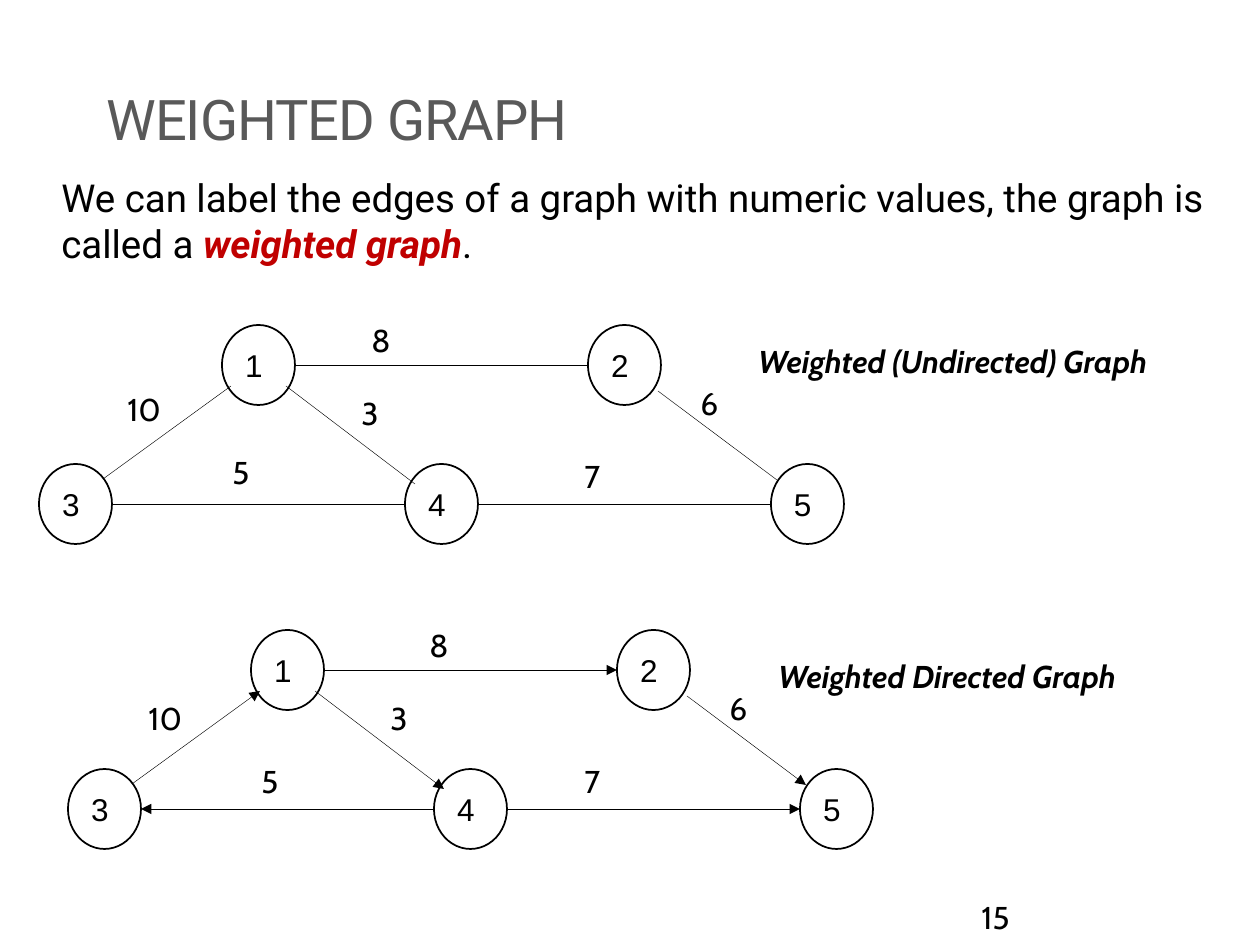
from lxml.etree import SubElement
from pptx import Presentation
from pptx.dml.color import RGBColor
from pptx.enum.shapes import MSO_CONNECTOR, MSO_SHAPE
from pptx.enum.text import MSO_ANCHOR, MSO_AUTO_SIZE, PP_ALIGN
from pptx.oxml.ns import qn
from pptx.util import Inches, Pt

PX = Inches(1) / 126
COLORS = {"ink": "000000", "title": "595959", "accent": "C00000"}
NODE_W, NODE_H = 73, 80
COLUMN, ROW = 183, 139
NODES = {"1": (1, 0), "2": (3, 0), "3": (0, 1), "4": (2, 1), "5": (4, 1)}
EDGES = [
    (247, 61, 376, 159),
    (256, 40, 549, 40),
    (619, 66, 738, 155),
    (366, 179, 73, 179),
    (439, 179, 732, 179),
    (64, 154, 192, 61),
]
UNDIRECTED_WEIGHTS = [
    ("8", 359, 315), ("7", 572, 451), ("10", 115, 384),
    ("5", 220, 447), ("3", 349, 388), ("6", 688, 378),
]
DIRECTED_WEIGHTS = [
    ("10", 136, 693), ("5", 249, 756), ("8", 417, 620),
    ("7", 572, 756), ("3", 378, 693), ("6", 717, 683),
]


def emu(*lengths):
    return [round(n * PX) for n in lengths]


def rgb(name):
    return RGBColor.from_string(COLORS[name])


class SlideBuilder:
    label_font = "Cabin"
    text_font = "Roboto"
    node_font = "Arial"

    def __init__(self, slide):
        self.slide = slide

    def style(self, p, font, size, color="ink"):
        p.font.name = font
        p.font.size = Pt(size)
        p.font.color.rgb = rgb(color)

    def text(self, x, y, w, h, text, font, size, color="ink", wrap=True):
        s = self.slide.shapes.add_textbox(*emu(x, y, w, h))
        tf = s.text_frame
        tf.word_wrap = wrap
        p = tf.paragraphs[0]
        p.add_run().text = text
        self.style(p, font, size, color)
        return tf

    def label(self, x, y, w, text, emphasis=False):
        tf = self.text(x, y, w, 50, text, self.label_font, 18, wrap=False)
        tf.auto_size = MSO_AUTO_SIZE.SHAPE_TO_FIT_TEXT
        if emphasis:
            tf.paragraphs[0].font.bold = True
            tf.paragraphs[0].font.italic = True

    def node(self, x, y, name):
        s = self.slide.shapes.add_shape(MSO_SHAPE.OVAL, *emu(x, y, NODE_W, NODE_H))
        s.shadow.inherit = False
        s.fill.background()
        s.line.color.rgb = rgb("ink")
        s.line.width = Pt(1)
        tf = s.text_frame
        tf.word_wrap = False
        tf.vertical_anchor = MSO_ANCHOR.MIDDLE
        p = tf.paragraphs[0]
        p.alignment = PP_ALIGN.LEFT
        p.add_run().text = name
        self.style(p, self.node_font, 18)

    def edge(self, x1, y1, x2, y2, directed):
        c = self.slide.shapes.add_connector(MSO_CONNECTOR.STRAIGHT, *emu(x1, y1, x2, y2))
        c.line.color.rgb = rgb("ink")
        c.line.width = Pt(0.25)
        if directed:
            SubElement(c.line._get_or_add_ln(), qn("a:tailEnd"), type="triangle")
        SubElement(c._element.spPr, qn("a:effectLst"))

    def graph(self, x, y, weights, directed):
        for x1, y1, x2, y2 in EDGES:
            self.edge(x + x1, y + y1, x + x2, y + y2, directed)
        for name, (column, row) in NODES.items():
            self.node(x + column * COLUMN, y + row * ROW, name)
        for weight, left, top in weights:
            self.label(left, top, 43 if len(weight) == 1 else 60, weight)


def main():
    prs = Presentation()
    prs.slide_width, prs.slide_height = emu(1260, 945)
    b = SlideBuilder(prs.slides.add_slide(prs.slide_layouts[6]))

    b.text(969, 892, 262, 32, "15", b.label_font, 18)

    tf = b.text(94, 42, 1050, 116, "WEIGHTED GRAPH", b.text_font, 32, "title")
    tf.vertical_anchor = MSO_ANCHOR.BOTTOM
    tf.paragraphs[0].runs[0].font._element.set("spc", "-60")

    intro = "We can label the edges of a graph with numeric values, the graph is called a "
    p = b.text(49, 168, 1182, 136, intro, b.text_font, 22).paragraphs[0]
    p.space_after = Pt(6)
    r = p.add_run()
    r.text = "weighted graph"
    r.font.bold = True
    r.font.italic = True
    r.font.color.rgb = rgb("accent")
    p.add_run().text = "."

    b.graph(39, 325, UNDIRECTED_WEIGHTS, directed=False)
    b.graph(68, 630, DIRECTED_WEIGHTS, directed=True)
    b.label(746, 336, 462, "Weighted (Undirected) Graph", emphasis=True)
    b.label(766, 651, 403, "Weighted Directed Graph", emphasis=True)

    prs.save("out.pptx")


if __name__ == "__main__":
    main()
